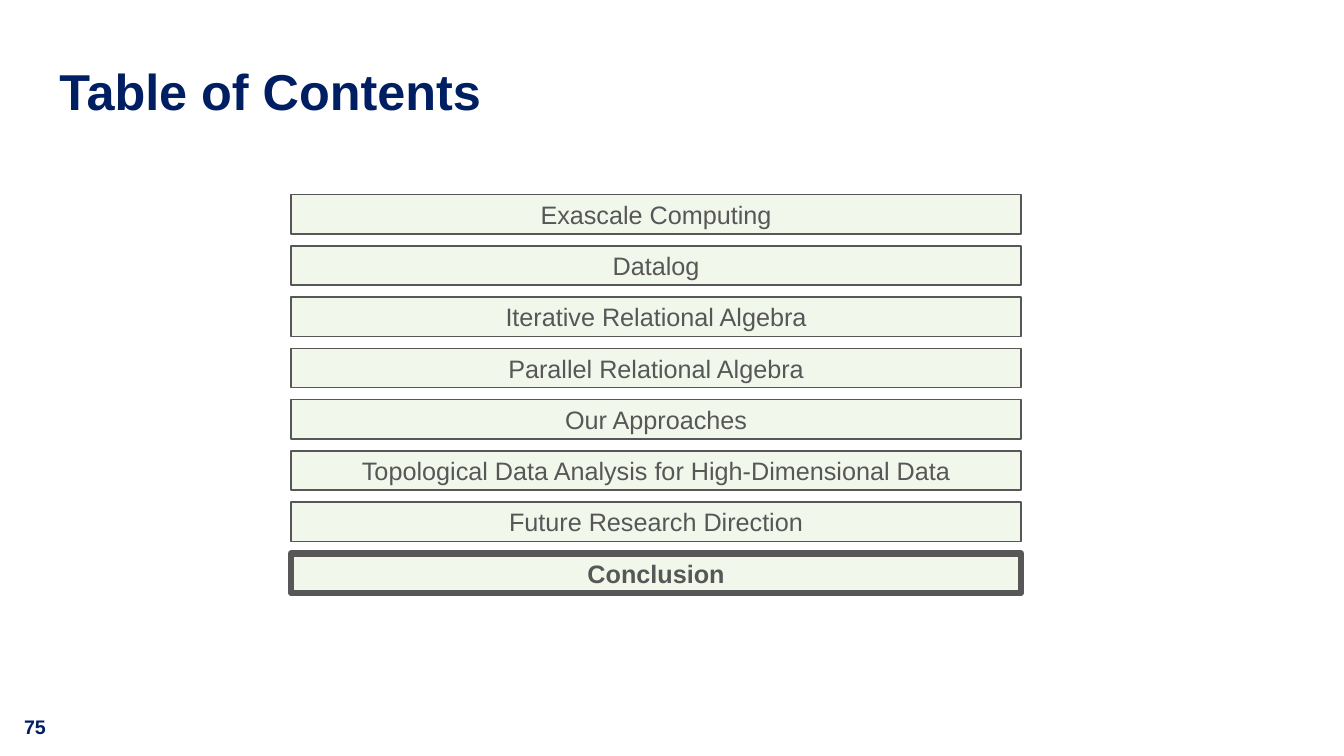
import pptx
import pptx.util
import pptx.dml.color
import pptx.enum.shapes
import pptx.enum.text

Pt = pptx.util.Pt
RGBColor = pptx.dml.color.RGBColor

NAVY = RGBColor(0x00, 0x1E, 0x62)
GREY = RGBColor(0x57, 0x57, 0x57)
PALE_GREEN = RGBColor(0xF2, 0xF7, 0xEB)
FONT_NAME = "Arial"

TOPICS = [
    "Exascale Computing",
    "Datalog",
    "Iterative Relational Algebra",
    "Parallel Relational Algebra",
    "Our Approaches",
    "Topological Data Analysis for High-Dimensional Data",
    "Future Research Direction",
    "Conclusion",
]
CURRENT_TOPIC = "Conclusion"


def format_text(paragraph, size, color, bold):
    for run in paragraph.runs:
        run.font.name = FONT_NAME
        run.font.size = Pt(size)
        run.font.bold = bold
        run.font.color.rgb = color


def place_title(slide, text, left, top, width, height):
    title = slide.shapes.title
    title.left, title.top = Pt(left), Pt(top)
    title.width, title.height = Pt(width), Pt(height)
    frame = title.text_frame
    frame.text = text
    frame.word_wrap = True
    frame.vertical_anchor = pptx.enum.text.MSO_ANCHOR.MIDDLE
    frame.margin_left = frame.margin_right = Pt(0)
    frame.margin_top = frame.margin_bottom = Pt(0)
    paragraph = frame.paragraphs[0]
    paragraph.alignment = pptx.enum.text.PP_ALIGN.LEFT
    paragraph.line_spacing = 0.9
    format_text(paragraph, 36, NAVY, True)


def add_topic_list(slide, left, top, width, height, bar_height=28.1):
    """Stack the topic bars evenly in the box, with the current one emphasised."""
    pitch = (height - bar_height) / (len(TOPICS) - 1)
    for index, topic in enumerate(TOPICS):
        is_current = topic == CURRENT_TOPIC
        bar = slide.shapes.add_shape(
            pptx.enum.shapes.MSO_SHAPE.RECTANGLE,
            Pt(left), Pt(top + index * pitch), Pt(width), Pt(bar_height))
        bar.shadow.inherit = False
        bar.fill.solid()
        bar.fill.fore_color.rgb = PALE_GREEN
        bar.line.color.rgb = GREY
        bar.line.width = Pt(4.5 if is_current else 1)
        frame = bar.text_frame
        frame.text = topic
        frame.vertical_anchor = pptx.enum.text.MSO_ANCHOR.MIDDLE
        paragraph = frame.paragraphs[0]
        paragraph.alignment = pptx.enum.text.PP_ALIGN.CENTER
        format_text(paragraph, 18, GREY, is_current)


def add_page_number(slide, number, left, top, width, height):
    box = slide.shapes.add_textbox(Pt(left), Pt(top), Pt(width), Pt(height))
    frame = box.text_frame
    frame.word_wrap = True
    frame.text = str(number)
    format_text(frame.paragraphs[0], 14, NAVY, True)


def build_contents_slide(presentation):
    title_only = presentation.slide_layouts[5]
    slide = presentation.slides.add_slide(title_only)
    place_title(slide, "Table of Contents", 42.5, 37.4, 837.4, 60.5)
    add_topic_list(slide, 208, 139, 521.3, 284.4)
    add_page_number(slide, 75, 10.1, 506.9, 47.5, 24.5)


def main():
    presentation = pptx.Presentation()
    presentation.slide_width = Pt(960)
    presentation.slide_height = Pt(540)
    build_contents_slide(presentation)
    presentation.save("out.pptx")


if __name__ == "__main__":
    main()
